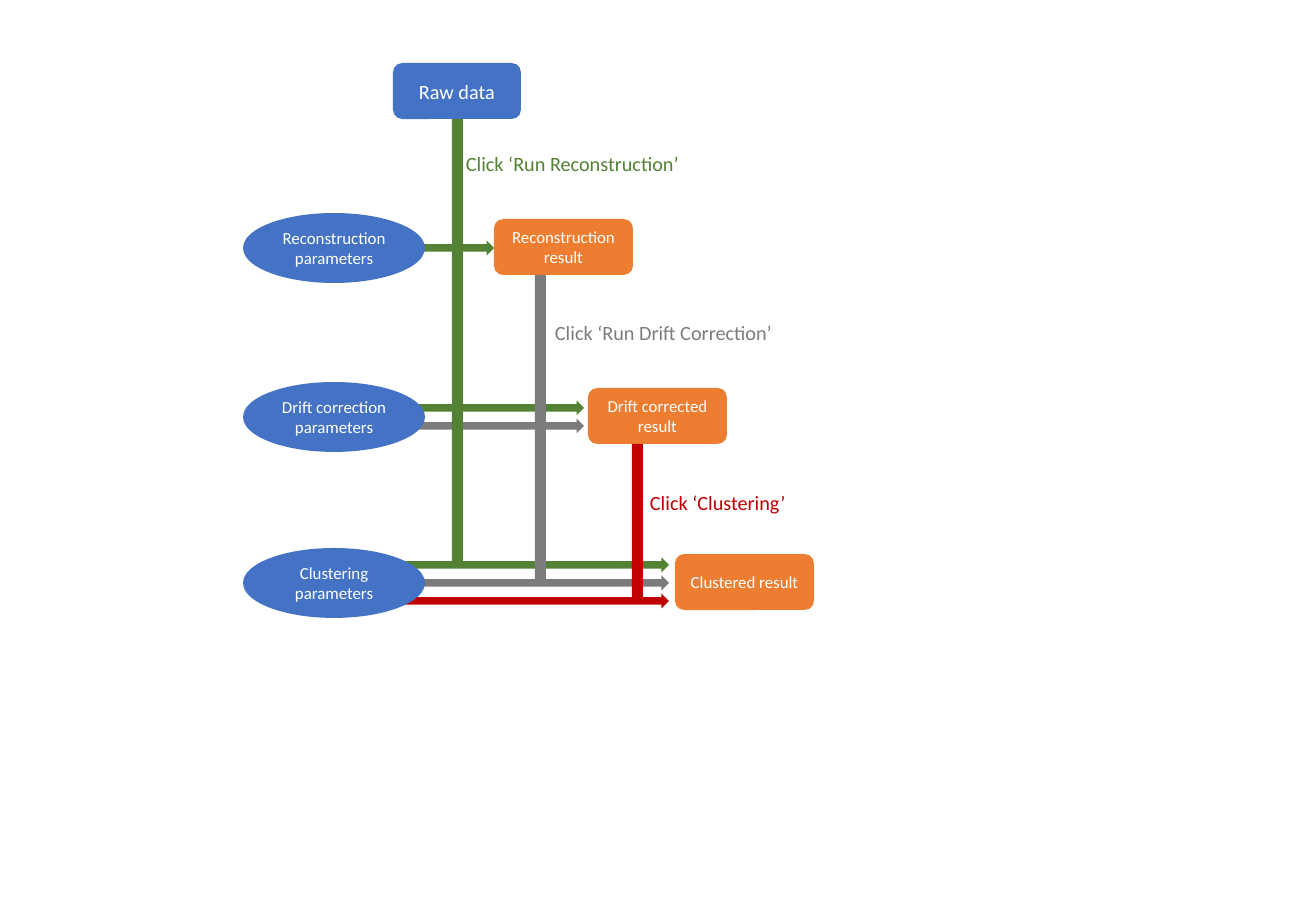
"""Build the slide showing which button runs each step of the processing flow."""
from pptx import Presentation
from pptx import util as u
from pptx.dml.color import RGBColor
from pptx.enum import shapes, text

THEME = {
    "font": "Calibri", "large": 12, "small": 10, "on_fill": "FFFFFF",
    "input": "4472C4", "result": "ED7D31",
    "reconstruct": "548235", "drift": "7C7C7C", "cluster": "C00000",
}
SLIDE = (1316, 911)
RAW = ("Raw data", (393, 63, 128, 56))
ROWS = [
    {"center": 248, "params": "Reconstruction parameters",
     "result": "Reconstruction result", "result_left": 494,
     "arrow_end": 494, "arrows": [("reconstruct", 416)]},
    {"center": 417, "params": "Drift correction parameters",
     "result": "Drift corrected result", "result_left": 588,
     "arrow_end": 584, "arrows": [("reconstruct", 402), ("drift", 402)]},
    {"center": 583, "params": "Clustering parameters",
     "result": "Clustered result", "result_left": 675,
     "arrow_end": 669, "arrows": [("reconstruct", 400), ("drift", 407), ("cluster", 399)]},
]
STEPS = [
    {"color": "reconstruct", "bar": (452, 119, 11, 448),
     "label": "Click ‘Run Reconstruction’", "label_box": (454, 145, 241, 36)},
    {"color": "drift", "bar": (535, 275, 11, 310),
     "label": "Click ‘Run Drift Correction’", "label_box": (543, 314, 244, 36)},
    {"color": "cluster", "bar": (632, 444, 11, 158),
     "label": "Click ‘Clustering’", "label_box": (638, 484, 162, 36)},
]
PARAMS_LEFT, PARAMS_SIZE, RESULT_SIZE = 243, (182, 70), (139, 56)
ARROW_HEIGHT, LANE_GAP, SIDE_MARGIN = 15, 18, 8
KIND = shapes.MSO_SHAPE


def px(n):
    return u.Emu(round(n * 914400 / 121.5))


def centered(left, center, size):
    width, height = size
    return left, center - height / 2, width, height


def write(sp, words, size, color, frame, align):
    tf = sp.text_frame
    for name, value in frame.items():
        setattr(tf, name, value)
    p = tf.paragraphs[0]
    p.alignment = align
    r = p.add_run()
    r.text = words
    for name, value in {"name": THEME["font"], "size": u.Pt(THEME[size])}.items():
        setattr(r.font, name, value)
    r.font.color.rgb = RGBColor.from_string(THEME[color])


def add_block(slide, kind, box, color, words=None, size="small"):
    sp = slide.shapes.add_shape(kind, *map(px, box))
    sp.shadow.inherit = False
    sp.fill.solid()
    sp.fill.fore_color.rgb = RGBColor.from_string(THEME[color])
    sp.line.fill.background()
    if words:
        frame = {"word_wrap": True, "vertical_anchor": text.MSO_ANCHOR.MIDDLE,
                 "margin_left": px(SIDE_MARGIN), "margin_right": px(SIDE_MARGIN)}
        write(sp, words, size, "on_fill", frame, text.PP_ALIGN.CENTER)


def add_label(slide, box, words, color):
    sp = slide.shapes.add_textbox(*map(px, box))
    frame = {"word_wrap": False, "auto_size": text.MSO_AUTO_SIZE.SHAPE_TO_FIT_TEXT}
    write(sp, words, "large", color, frame, text.PP_ALIGN.LEFT)


prs = Presentation()
prs.slide_width, prs.slide_height = map(px, SLIDE)
slide = prs.slides.add_slide(prs.slide_layouts[6])

for row in ROWS:
    middle = (len(row["arrows"]) - 1) / 2
    for lane, (color, left) in enumerate(row["arrows"]):
        center = row["center"] + (lane - middle) * LANE_GAP
        size = (row["arrow_end"] - left, ARROW_HEIGHT)
        add_block(slide, KIND.RIGHT_ARROW, centered(left, center, size), color)

add_block(slide, KIND.ROUNDED_RECTANGLE, RAW[1], "input", RAW[0], "large")
for row in ROWS:
    add_block(slide, KIND.ROUNDED_RECTANGLE,
              centered(row["result_left"], row["center"] - 1, RESULT_SIZE),
              "result", row["result"])
    add_block(slide, KIND.OVAL, centered(PARAMS_LEFT, row["center"], PARAMS_SIZE),
              "input", row["params"])

for step in STEPS:
    add_block(slide, KIND.RECTANGLE, step["bar"], step["color"])
for step in STEPS:
    add_label(slide, step["label_box"], step["label"], step["color"])

prs.save("out.pptx")
